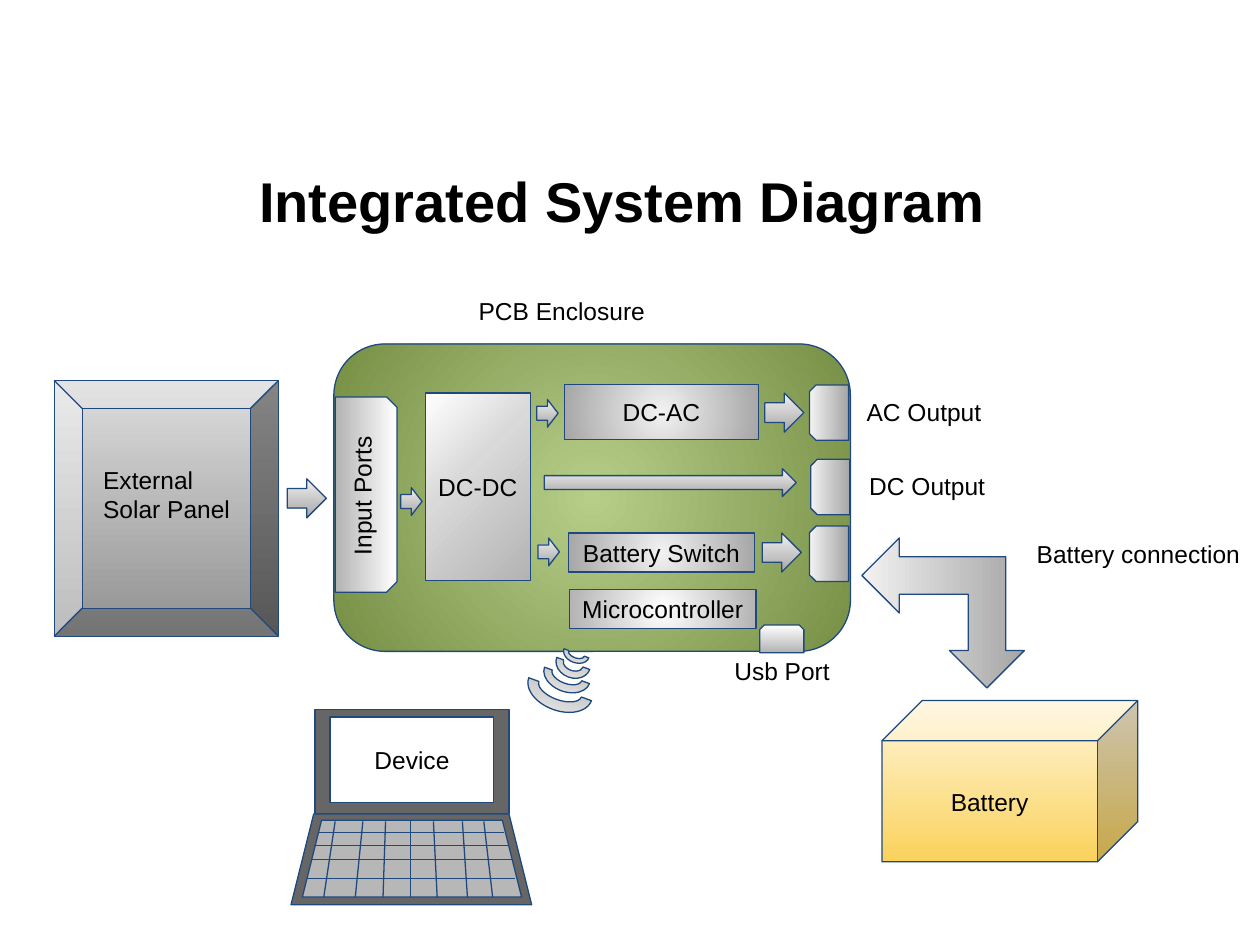
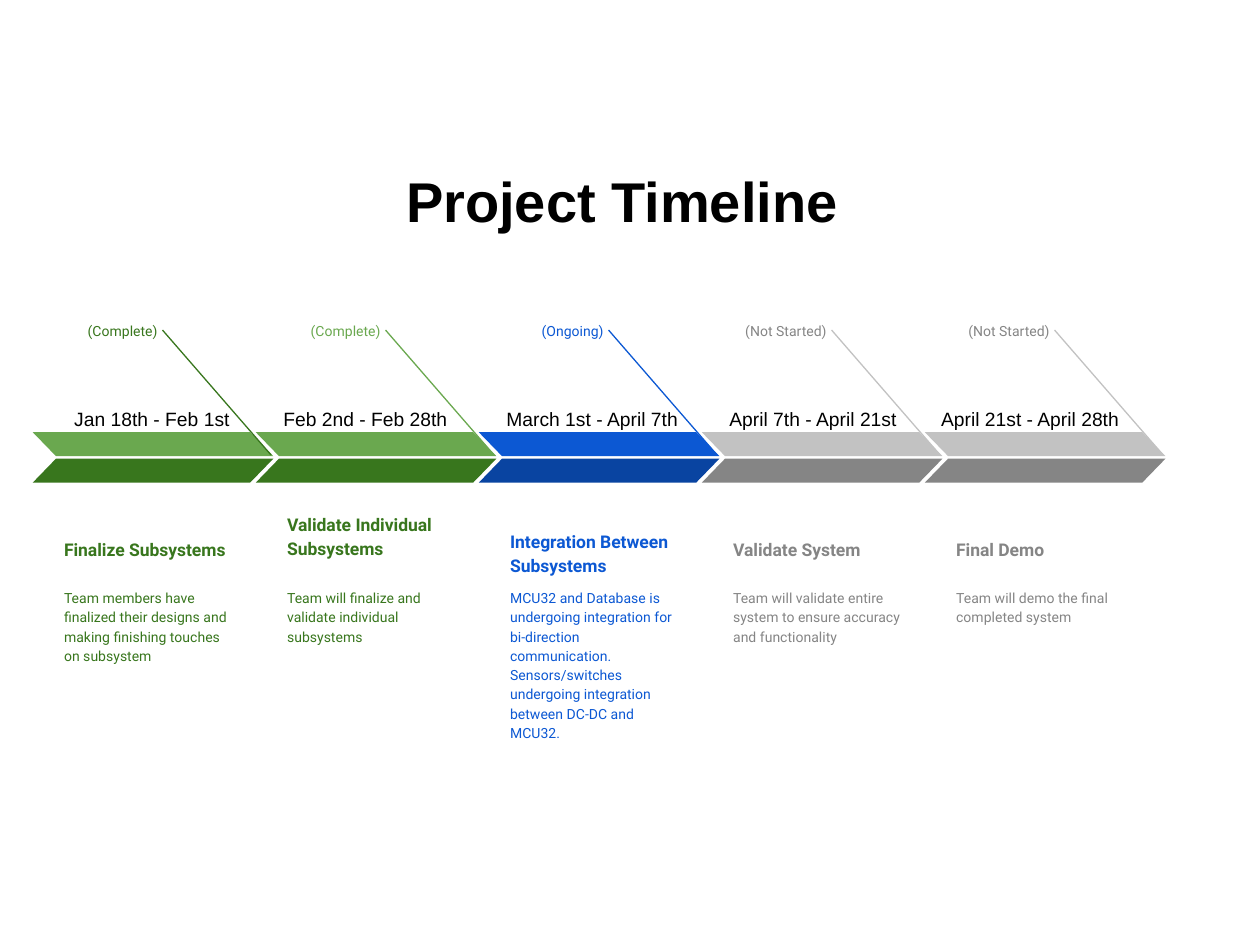
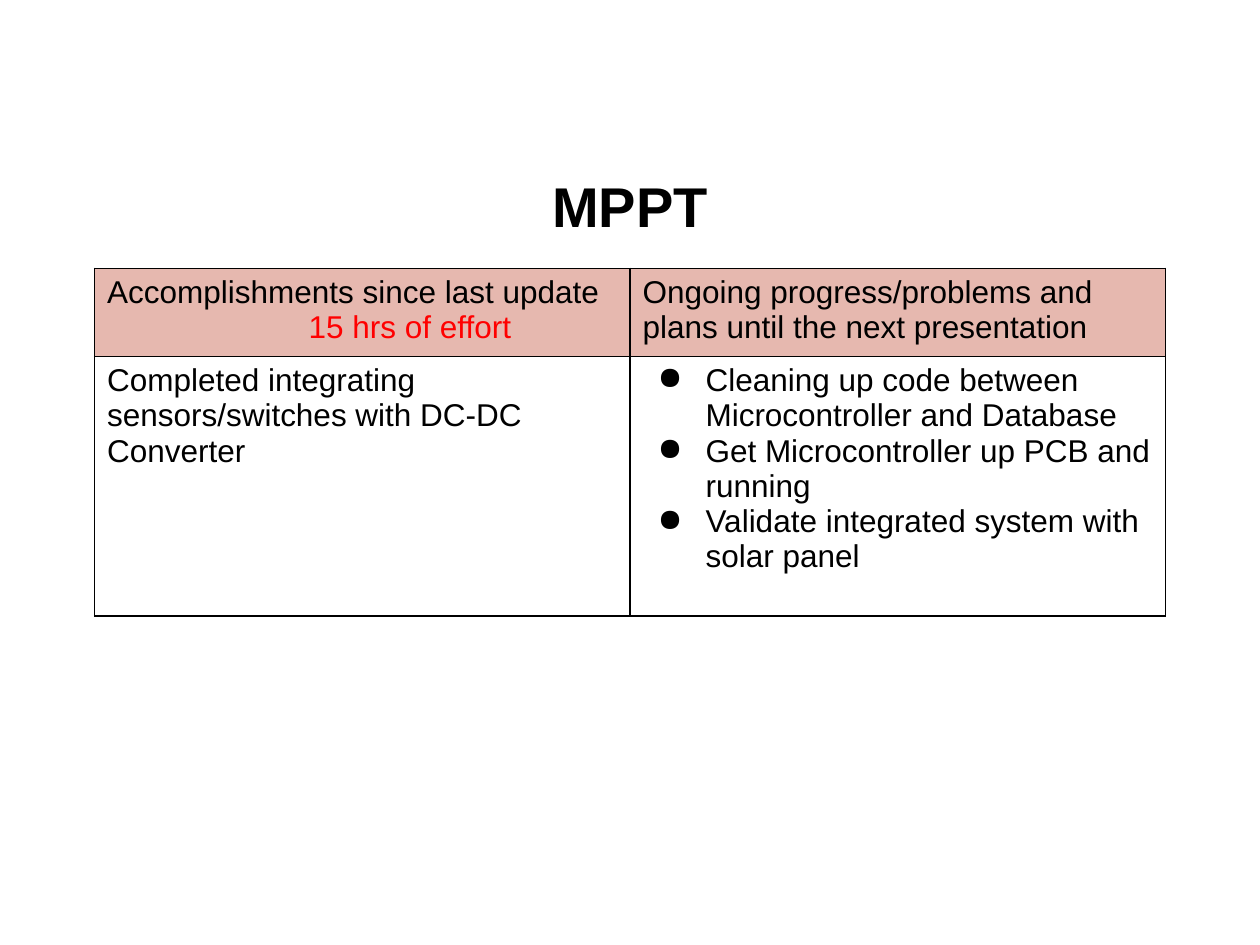
from dataclasses import dataclass

from pptx import Presentation
from pptx.dml.color import RGBColor
from pptx.enum.shapes import MSO_CONNECTOR as CONN, MSO_SHAPE as SHAPE
from pptx.enum.text import MSO_ANCHOR as ANCHOR, PP_ALIGN as ALIGN
from pptx.oxml import parse_xml
from pptx.oxml.ns import nsdecls, qn
from pptx.oxml.xmlchemy import OxmlElement
from pptx.util import Inches, Pt

BLACK = RGBColor(0x00, 0x00, 0x00)
WHITE = RGBColor(0xFF, 0xFF, 0xFF)
RED = RGBColor(0xFF, 0x00, 0x00)
NAVY = RGBColor(0x1F, 0x49, 0x7D)
CASE_GREY = RGBColor(0x66, 0x66, 0x66)
KEY_GREY = RGBColor(0xB7, 0xB7, 0xB7)
GREEN = RGBColor(0x6A, 0xA8, 0x4F)
DARK_GREEN = RGBColor(0x38, 0x76, 0x1D)
BLUE = RGBColor(0x0C, 0x58, 0xD3)
DARK_BLUE = RGBColor(0x09, 0x44, 0xA1)
GREY = RGBColor(0xC2, 0xC2, 0xC2)
DARK_GREY = RGBColor(0x85, 0x85, 0x85)
PINK = RGBColor(0xE6, 0xB8, 0xAF)

PALE = RGBColor(0xF2, 0xF2, 0xF2)
STEEL = RGBColor(0xA6, 0xA6, 0xA6)
SILVER = RGBColor(0xB3, 0xB3, 0xB3)


@dataclass
class Gradient:
    colours: list
    angle: int = 90
    radial: bool = False
    positions: tuple = (0, 100)

    def xml(self):
        stops = "".join(
            f'<a:gs pos="{pos * 1000}"><a:srgbClr val="{colour}"/></a:gs>'
            for pos, colour in zip(self.positions, self.colours))
        if self.radial:
            way = ('<a:path path="circle"><a:fillToRect l="50000" t="50000" '
                   'r="50000" b="50000"/></a:path>')
        else:
            way = f'<a:lin ang="{self.angle * 60000}" scaled="0"/>'
        return parse_xml(f'<a:gradFill {nsdecls("a")}><a:gsLst>{stops}</a:gsLst>{way}</a:gradFill>')


METAL = Gradient([PALE, STEEL])
METAL_GLOW = Gradient([PALE, STEEL], radial=True)
PORT = Gradient([WHITE, SILVER])
CHIP_GLOW = Gradient([WHITE, SILVER], radial=True)
CONVERTER = Gradient([WHITE, RGBColor(0xD9, 0xD9, 0xD9), SILVER], 45, positions=(0, 41, 100))
PANEL = Gradient([RGBColor(0xDD, 0xDD, 0xDD), RGBColor(0x91, 0x91, 0x91)])
BOARD = Gradient([RGBColor(0xB7, 0xCE, 0x88), RGBColor(0x76, 0x8F, 0x45)], radial=True)
CELL_GOLD = Gradient([RGBColor(0xFF, 0xF6, 0xDB), RGBColor(0xFA, 0xD2, 0x5C)])


@dataclass
class Stage:
    dates: str
    dates_left: float
    status: str
    heading: str
    body: str
    light: RGBColor
    dark: RGBColor
    ink: RGBColor
    accent: RGBColor
    pointer: RGBColor
    heading_top: float = 3.95


class Deck:
    font = "Arial"
    label_size = 14
    line_width = Pt(0.75)

    def __init__(self):
        self.prs = Presentation()
        self.prs.slide_width = Inches(10)
        self.prs.slide_height = Inches(7.5)
        self.slide = None

    def new_slide(self, title, spacing=None):
        self.slide = self.prs.slides.add_slide(self.prs.slide_layouts[6])
        self.text(0.5, 1.15, 9, 0.88, title, size=32, bold=True,
                  align=ALIGN.CENTER, anchor=ANCHOR.MIDDLE, spacing=spacing)

    def style(self, p, size, colour=BLACK, bold=False, font=None):
        for r in p.runs:
            r.font.name = font or self.font
            r.font.size = Pt(size)
            r.font.bold = bold
            r.font.color.rgb = colour

    def fill_text(self, tf, text, size=label_size, colour=BLACK, bold=False, font=None,
                  align=ALIGN.LEFT, anchor=ANCHOR.TOP, spacing=None):
        tf.word_wrap = True
        tf.margin_left = tf.margin_right = tf.margin_top = tf.margin_bottom = Inches(0.1)
        tf.vertical_anchor = anchor
        tf.text = text
        p = tf.paragraphs[0]
        p.alignment = align
        if spacing:
            p.line_spacing = spacing
        self.style(p, size, colour, bold, font)

    def text(self, x, y, w, h, text, rotation=0, **look):
        s = self.slide.shapes.add_textbox(Inches(x), Inches(y), Inches(w), Inches(h))
        s.rotation = rotation
        self.fill_text(s.text_frame, text, **look)

    def shape(self, kind, x, y, w, h, fill, text=None, rotation=0, line=NAVY, align=ALIGN.CENTER):
        s = self.slide.shapes.add_shape(kind, Inches(x), Inches(y), Inches(w), Inches(h))
        s.shadow.inherit = False
        s.rotation = rotation
        if isinstance(fill, Gradient):
            s.fill.background()
            spPr = s.element.spPr
            spPr.replace(spPr.find(qn("a:noFill")), fill.xml())
        else:
            s.fill.solid()
            s.fill.fore_color.rgb = fill
        if line is None:
            s.line.fill.background()
        else:
            s.line.color.rgb = line
            s.line.width = self.line_width
        if text:
            self.fill_text(s.text_frame, text, align=align, anchor=ANCHOR.MIDDLE)
        return s

    def band(self, x, y, w, h, fill, flip=False):
        s = self.shape(SHAPE.PARALLELOGRAM, x, y, w, h, fill, line=None)
        s.adjustments[0] = 0.97
        if flip:
            s.element.spPr.xfrm.set("flipH", "1")

    def line(self, x1, y1, x2, y2, colour=NAVY):
        s = self.slide.shapes.add_connector(
            CONN.STRAIGHT, Inches(x1), Inches(y1), Inches(x2), Inches(y2))
        s.line.color.rgb = colour
        s.line.width = self.line_width
        s.element.spPr.append(OxmlElement("a:effectLst"))

    def table(self, x, y, widths, heights):
        s = self.slide.shapes.add_table(len(heights), len(widths), Inches(x), Inches(y),
                                        Inches(sum(widths)), Inches(sum(heights)))
        table = s.table
        table.first_row = table.horz_banding = False
        for column, width in zip(table.columns, widths):
            column.width = Inches(width)
        for row, height in zip(table.rows, heights):
            row.height = Inches(height)
        return table

    def cell(self, cell, paragraphs, fill=None, bullets=False):
        tcPr = cell._tc.get_or_add_tcPr()
        for side in "LRTB":
            tcPr.append(parse_xml(
                f'<a:ln{side} {nsdecls("a")} w="12700"><a:solidFill>'
                f'<a:srgbClr val="{BLACK}"/></a:solidFill></a:ln{side}>'))
        if fill is None:
            cell.fill.background()
        else:
            cell.fill.solid()
            cell.fill.fore_color.rgb = fill
        tf = cell.text_frame
        tf.text = "\n".join(text for text, _, _ in paragraphs)
        for p, (_, colour, indent) in zip(tf.paragraphs, paragraphs):
            pPr = p._p.get_or_add_pPr()
            pPr.set("marL", str(Inches(indent)))
            if bullets:
                pPr.set("indent", str(Inches(-0.38)))
                pPr.append(parse_xml(f'<a:buChar {nsdecls("a")} char="●"/>'))
            self.style(p, 18, colour)


def system_diagram(deck):
    deck.new_slide("Integrated System Diagram ")
    deck.shape(SHAPE.BEVEL, 0.43, 3.02, 1.78, 2.03, PANEL)
    deck.shape(SHAPE.ROUNDED_RECTANGLE, 2.65, 2.73, 4.1, 2.44, BOARD)
    deck.shape(SHAPE.CUBE, 7, 5.56, 2.03, 1.28, CELL_GOLD, "Battery")

    ports = [(6.03, 4.96, 0.35, 0.22, PORT, 0), (2.13, 3.68, 1.55, 0.49, PORT, 90)]
    ports += [(x, y, 0.44, 0.31, METAL, 270) for x, y in ((6.36, 3.12), (6.37, 3.71), (6.36, 4.24))]
    for x, y, w, h, fill, rotation in ports:
        deck.shape(SHAPE.SNIP_2_SAME_RECTANGLE, x, y, w, h, fill, rotation=rotation)

    waves = [(4.47, 5.11, 0.21, 0.15), (4.41, 5.15, 0.28, 0.23),
             (4.31, 5.23, 0.38, 0.26), (4.18, 5.3, 0.53, 0.34)]
    for wave in waves:
        deck.shape(SHAPE.BLOCK_ARC, *wave, METAL, rotation=200.1)

    deck.shape(SHAPE.RECTANGLE, 3.38, 3.12, 0.83, 1.49, CONVERTER, "DC-DC", align=ALIGN.LEFT)
    deck.shape(SHAPE.RECTANGLE, 4.52, 4.68, 1.48, 0.31, CHIP_GLOW, "Microcontroller")
    deck.shape(SHAPE.RECTANGLE, 4.48, 3.05, 1.54, 0.44, METAL_GLOW, "DC-AC")
    deck.shape(SHAPE.RECTANGLE, 4.51, 4.23, 1.48, 0.31, METAL_GLOW, "Battery Switch")

    arrows = [(4.32, 3.72, 2, 0.22)]
    arrows += [(x, y, 0.31, 0.31) for x, y in ((2.28, 3.8), (6.07, 3.12), (6.05, 4.23))]
    arrows += [(x, y, 0.17, 0.22) for x, y in ((3.18, 3.87), (4.26, 3.17), (4.27, 4.27))]
    for arrow in arrows:
        deck.shape(SHAPE.RIGHT_ARROW, *arrow, METAL)
    deck.shape(SHAPE.LEFT_UP_ARROW, 6.89, 4.22, 1.19, 1.29, METAL, rotation=270)

    labels = [(0.72, 3.59, 1.35, 0.67, "External Solar Panel"),
              (3.7, 2.25, 2, 0.44, "PCB Enclosure"),
              (5.73, 5.11, 0.96, 0.44, "Usb Port"),
              (6.78, 3.05, 1.24, 0.44, "AC Output"),
              (6.8, 3.64, 1.24, 0.44, "DC Output"),
              (8.13, 4.18, 1.84, 0.44, "Battery connection")]
    for label in labels:
        deck.text(*label)
    deck.text(2.3, 3.71, 1.15, 0.44, "Input Ports", rotation=270)
    laptop(deck)


def laptop(deck):
    deck.shape(SHAPE.RECTANGLE, 2.5, 5.63, 1.54, 0.83, CASE_GREY)
    deck.shape(SHAPE.TRAPEZOID, 2.31, 6.46, 1.91, 0.72, CASE_GREY)
    deck.shape(SHAPE.RECTANGLE, 2.62, 5.69, 1.3, 0.68, WHITE, "Device")
    deck.shape(SHAPE.TRAPEZOID, 2.4, 6.51, 1.74, 0.61, KEY_GREY)
    for left, right, y in ((2.53, 4, 6.61), (2.49, 4.04, 6.71), (2.47, 4.06, 6.82), (2.44, 4.09, 6.97)):
        deck.line(left, y, right, y)
    for top, bottom in ((2.66, 2.57), (2.88, 2.82), (3.06, 3.04), (3.26, 3.26),
                        (3.44, 3.47), (3.67, 3.71), (3.84, 3.91)):
        deck.line(top, 6.52, bottom, 7.12)


def timeline(deck):
    deck.new_slide("Project Timeline ")
    greens = (GREEN, DARK_GREEN, DARK_GREEN)
    greys = (GREY, DARK_GREY, DARK_GREY, DARK_GREY, GREY)
    stages = [
        Stage("Jan 18th - Feb 1st", 0.49, "(Complete)", "Finalize Subsystems",
              "Team members have finalized their designs and making finishing touches on subsystem",
              *greens, DARK_GREEN, DARK_GREEN),
        Stage("Feb 2nd - Feb 28th", 2.15, "(Complete)", "Validate Individual Subsystems",
              "Team will finalize and validate individual subsystems", *greens, GREEN, GREEN),
        Stage("March 1st - April 7th", 3.92, "(Ongoing)", "Integration Between Subsystems",
              "MCU32 and Database is undergoing integration for bi-direction communication. "
              "Sensors/switches undergoing integration between DC-DC and MCU32.",
              BLUE, DARK_BLUE, BLUE, BLUE, BLUE, heading_top=4.08),
        Stage("April 7th - April 21st", 5.69, "(Not Started)", "Validate System",
              "Team will validate entire system to ensure accuracy and functionality", *greys),
        Stage("April 21st - April 28th", 7.37, "(Not Started)", "Final Demo",
              "Team will demo the final completed system", *greys),
    ]
    note = dict(font="Roboto", size=8, spacing=1.15)
    for i, stage in enumerate(stages):
        x = 0.26 + 1.77 * i
        deck.band(x, 3.43, 1.91, 0.19, stage.light, flip=True)
        deck.band(x, 3.64, 1.91, 0.19, stage.dark)
        deck.line(x + 1.03, 2.62, x + 1.89, 3.61, stage.pointer)
        deck.text(x, 2.46, 1.09, 0.32, stage.status, colour=stage.accent, align=ALIGN.RIGHT, **note)
        deck.text(x + 0.15, stage.heading_top, 1.58, 0.59, stage.heading, size=10, bold=True,
                  colour=stage.ink, font="Roboto", anchor=ANCHOR.BOTTOM, spacing=1.15)
        deck.text(x + 0.15, 4.56, 1.58, 0.98, stage.body, colour=stage.ink, **note)
        deck.text(stage.dates_left, 3.14, 1.68, 0.39, stage.dates, size=11)


def mppt(deck):
    deck.new_slide("MPPT", spacing=1.15)
    table = deck.table(0.75, 2.13, (4.25, 4.25), (0.7, 2.06))
    deck.cell(table.cell(0, 0), [("Accomplishments since last update", BLACK, 0),
                                 ("15 hrs of effort", RED, 1.6)], PINK)
    deck.cell(table.cell(0, 1), [
        ("Ongoing progress/problems and plans until the next presentation", BLACK, 0)], PINK)
    deck.cell(table.cell(1, 0), [
        ("Completed integrating sensors/switches with DC-DC Converter", BLACK, 0)])
    plans = ["Cleaning up code between Microcontroller and Database",
             "Get Microcontroller up PCB and running",
             "Validate integrated system with solar panel"]
    deck.cell(table.cell(1, 1), [(plan, BLACK, 0.5) for plan in plans], bullets=True)


def main():
    deck = Deck()
    system_diagram(deck)
    timeline(deck)
    mppt(deck)
    deck.prs.save("out.pptx")


if __name__ == "__main__":
    main()
